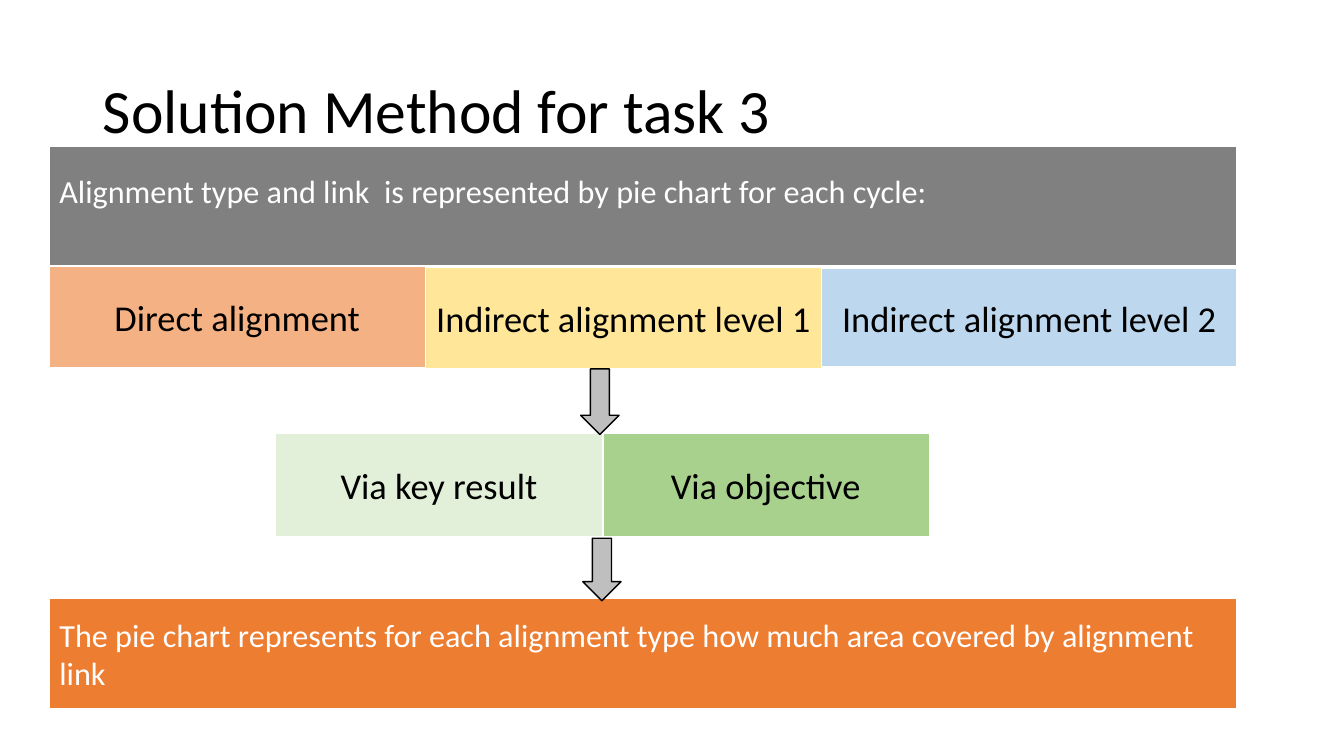
from dataclasses import dataclass

from pptx import Presentation
from pptx.dml.color import RGBColor
from pptx.enum.shapes import MSO_SHAPE
from pptx.enum.text import MSO_ANCHOR, PP_ALIGN
from pptx.util import Pt

PX = 9144  # 100 px to the inch
FONT = "Calibri"
BLACK, WHITE, GREY = "000000", "FFFFFF", "BFBFBF"
LEFT, WIDTH = 49, 1178


@dataclass
class Box:
    text: str
    x: int
    y: int
    w: int
    h: int
    fill: str
    size: int = 26
    color: str = BLACK
    align: PP_ALIGN = PP_ALIGN.CENTER
    bottom_inset: int = 5


@dataclass
class Arrow:
    x: int
    y: int
    h: int
    w: int = 38


BOXES = [
    Box("Alignment type and link  is represented by pie chart for each cycle:",
        LEFT, 145, WIDTH, 119, "808080", 23, WHITE, PP_ALIGN.LEFT, 35),
    Box("Direct alignment", LEFT, 264, 373, 101, "F4B183"),
    Box("Indirect alignment level 1", 422, 265, 393, 101, "FFE699"),
    Box("Indirect alignment level 2", 815, 266, 412, 98, "BDD7EE"),
    Box("Via objective", 597, 430, 325, 102, "A9D18E"),
    Box("Via key result", 273, 430, 325, 103, "E2F0D9"),
    Box("The pie chart represents for each alignment type how much area "
        "covered by alignment link",
        LEFT, 594, WIDTH, 109, "ED7D31", 23, WHITE, PP_ALIGN.LEFT),
]
ARROWS = [Arrow(576, 366, 65), Arrow(578, 534, 62)]


def rgb(color: str) -> RGBColor:
    return RGBColor.from_string(color)


def write(tf, text: str, size: int, color: str, align: PP_ALIGN):
    tf.word_wrap = True
    tf.vertical_anchor = MSO_ANCHOR.MIDDLE
    p = tf.paragraphs[0]
    p.alignment = align
    r = p.add_run()
    r.text = text
    r.font.name = FONT
    r.font.size = Pt(size)
    r.font.color.rgb = rgb(color)
    return p


def place(sp, x: int, y: int, w: int, h: int) -> None:
    sp.left, sp.top, sp.width, sp.height = (v * PX for v in (x, y, w, h))


def add_shape(s, kind: MSO_SHAPE, item: Box | Arrow, fill: str, line: str):
    sp = s.shapes.add_shape(kind, 0, 0, 0, 0)
    place(sp, item.x, item.y, item.w, item.h)
    sp.shadow.inherit = False
    sp.fill.solid()
    sp.fill.fore_color.rgb = rgb(fill)
    sp.line.color.rgb = rgb(line)
    sp.line.width = Pt(1)
    return sp


def add_box(s, box: Box) -> None:
    sp = add_shape(s, MSO_SHAPE.RECTANGLE, box, box.fill, WHITE)
    tf = sp.text_frame
    tf.margin_bottom = box.bottom_inset * PX
    write(tf, box.text, box.size, box.color, box.align)


def add_title(s, text: str) -> None:
    sp = s.shapes.title
    place(sp, 92, 40, 1150, 145)
    p = write(sp.text_frame, text, 44, BLACK, PP_ALIGN.LEFT)
    p.line_spacing = 0.9


def main() -> None:
    prs = Presentation()
    prs.slide_width, prs.slide_height = 1333 * PX, 750 * PX
    s = prs.slides.add_slide(prs.slide_layouts[5])
    add_title(s, "Solution Method for task 3")
    for box in BOXES:
        add_box(s, box)
    for arrow in ARROWS:
        add_shape(s, MSO_SHAPE.DOWN_ARROW, arrow, GREY, BLACK)
    prs.save("out.pptx")


if __name__ == "__main__":
    main()
